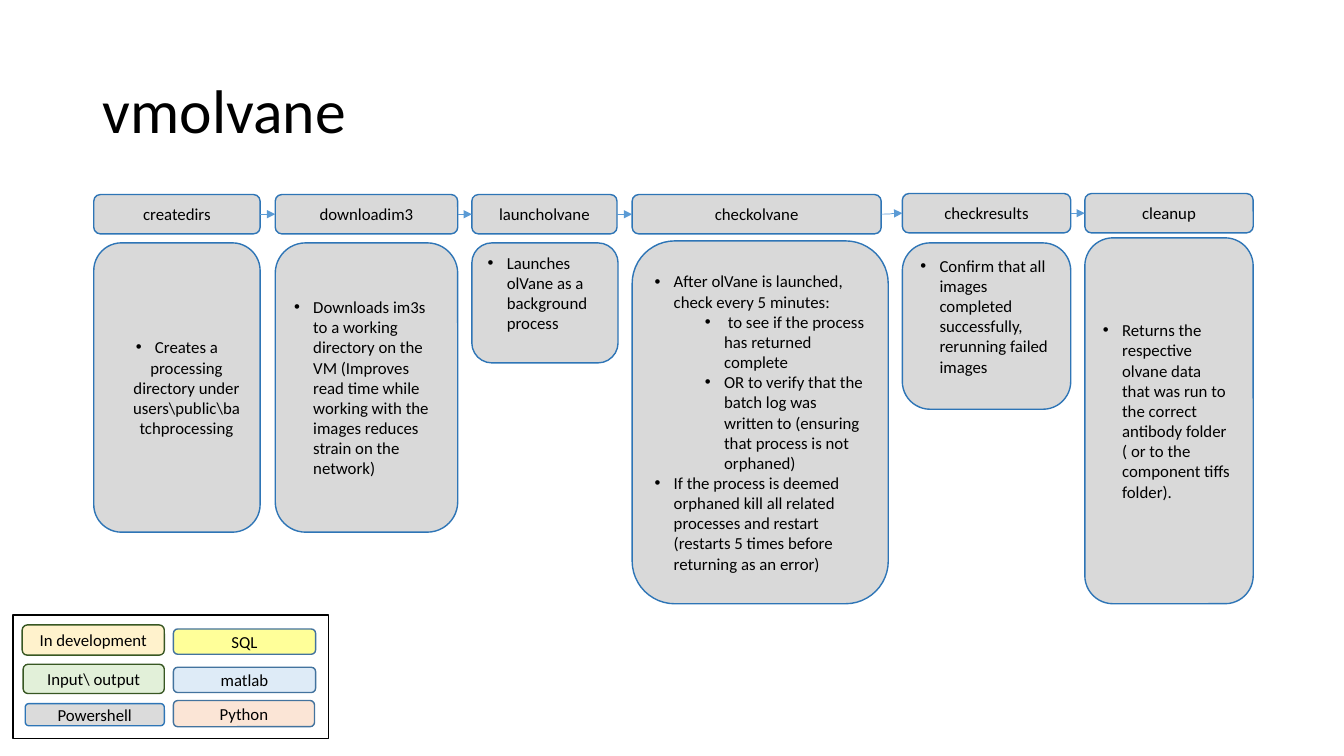
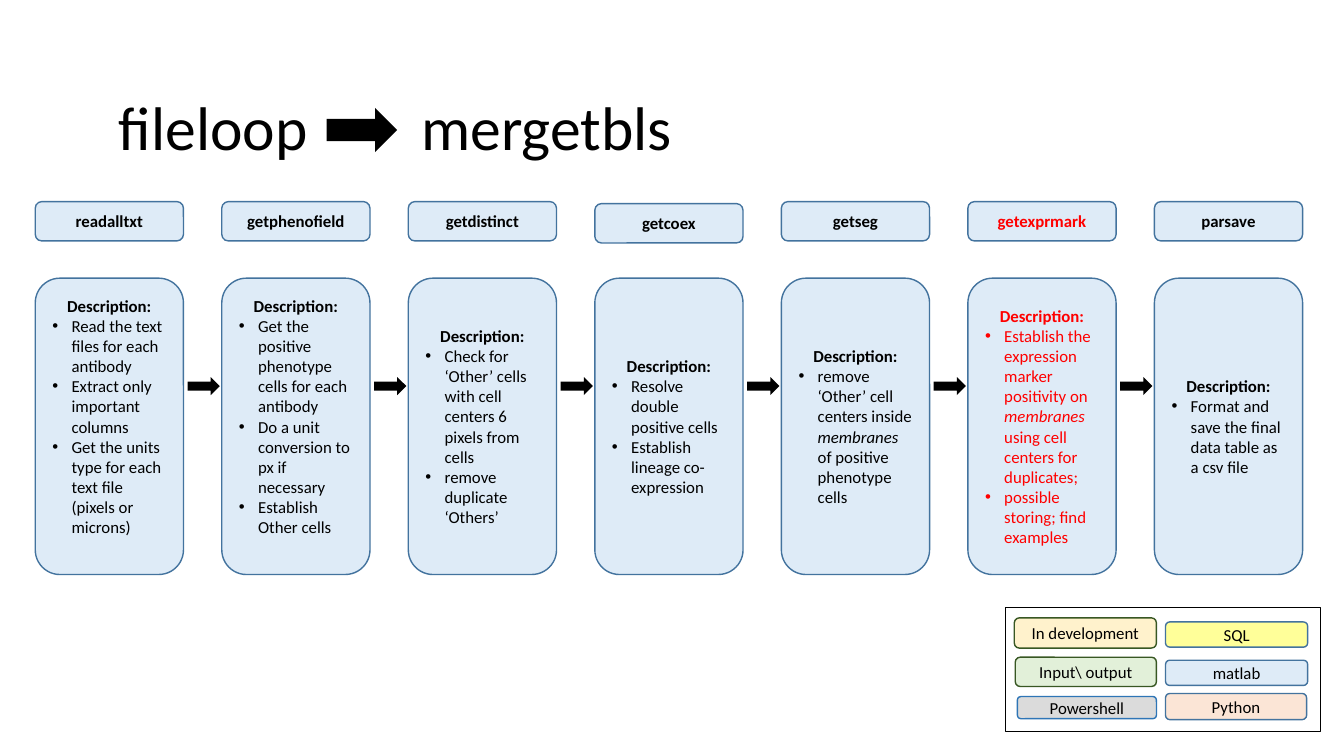
"""Builds two slides that describe processing steps."""
import dataclasses

import lxml.etree
import pptx
import pptx.dml.color
import pptx.enum.shapes
import pptx.enum.text
import pptx.oxml.ns
import pptx.util

Inches = pptx.util.Inches
Shapes = pptx.enum.shapes.MSO_SHAPE
Align = pptx.enum.text.PP_ALIGN
qn = pptx.oxml.ns.qn

FONT = "Calibri"
BLACK, WHITE, RED = "000000", "FFFFFF", "FF0000"
GREY, GREY_LINE = "D9D9D9", "2E75B6"
BLUE, BLUE_LINE = "DEEBF7", "43739E"
GREEN_LINE, CONNECTOR = "385723", "5B9BD5"
HANG = 0.19
BLANK_LINE = 0.2

LEGEND = [
    ("In development", 0.09, 0.1, 1.41, 0.3, "FFF2CC", GREEN_LINE),
    ("Input\\ output", 0.1, 0.49, 1.4, 0.29, "E2F0D9", GREEN_LINE),
    ("matlab", 1.59, 0.52, 1.41, 0.25, BLUE, BLUE_LINE),
    ("Powershell", 0.12, 0.88, 1.38, 0.22, "DBDBDB", GREY_LINE),
    ("Python", 1.59, 0.85, 1.4, 0.26, "FBE5D6", BLUE_LINE),
    ("SQL", 1.59, 0.14, 1.41, 0.25, "FFFF99", BLUE_LINE),
]


@dataclasses.dataclass
class Text:
    """One paragraph; parts between asterisks are italic."""
    words: str
    align: Align = Align.LEFT
    bold: bool = False
    bullet: bool = False
    level: int = 0


@dataclasses.dataclass
class Step:
    """One vmolvane column: header, body box and body paragraphs."""
    name: str
    left: float
    width: float
    top: float
    body_top: float
    body_width: float
    body_height: float
    texts: list
    space_below: float = 0
    space_right: float = 0


def bullet(words, level=0, align=Align.LEFT):
    """Return a bulleted paragraph."""
    return Text(words, align, bullet=True, level=level)


def label(words, bold=False):
    """Return a centred paragraph."""
    return Text(words, Align.CENTER, bold)


VMOLVANE = [
    Step("createdirs", 0.93, 1.65, 1.93, 2.41, 1.65, 2.87, [
        bullet("Creates a processing directory under users\\public\\batchprocessing",
               align=Align.CENTER)]),
    Step("downloadim3", 2.73, 1.81, 1.93, 2.41, 1.81, 2.87, [
        bullet("Downloads im3s to a working directory on the VM (Improves read time "
               "while working with the images reduces strain on the network)")]),
    Step("launcholvane", 4.68, 1.44, 1.93, 2.41, 1.45, 1.19, [
        bullet("Launches olVane as a background process")], BLANK_LINE),
    Step("checkolvane", 6.27, 2.47, 1.93, 2.39, 2.54, 3.6, [
        bullet("After olVane is launched, check every 5 minutes:"),
        bullet(" to see if the process has returned complete", 1),
        bullet("OR to verify that the batch log was written to "
               "(ensuring that process is not orphaned)", 1),
        bullet("If the process is deemed orphaned kill all related processes and "
               "restart (restarts 5 times before returning as an error)")]),
    Step("checkresults", 8.95, 1.67, 1.92, 2.41, 1.67, 1.65, [
        bullet("Confirm that all images completed successfully, "
               "rerunning failed images")], BLANK_LINE),
    Step("cleanup", 10.76, 1.67, 1.92, 2.36, 1.67, 3.63, [
        bullet("Returns the respective olvane data that was run to the correct "
               "antibody folder ( or to the component tiffs folder).")],
         BLANK_LINE, 0.03),
]

MERGETBLS = [
    ("readalltxt", 2, BLACK, BLANK_LINE, [
        "Read the text files for each antibody",
        "Extract only important columns",
        "Get the units type for each text file (pixels or microns)"]),
    ("getphenofield", 2, BLACK, BLANK_LINE, [
        "Get the positive phenotype cells for each antibody",
        "Do a unit conversion to px if necessary",
        "Establish Other cells"]),
    ("getdistinct", 2, BLACK, 0, [
        "Check for ‘Other’ cells with cell centers 6 pixels from cells",
        "remove duplicate ‘Others’"]),
    ("getcoex", 2.02, BLACK, 0, [
        "Resolve double positive cells",
        "Establish lineage co-expression"]),
    ("getseg", 2, BLACK, 0, [
        "remove ‘Other’ cell centers inside *membranes *of positive phenotype cells"]),
    ("getexprmark", 2, RED, 0, [
        "Establish the expression marker positivity on *membranes *using cell "
        "centers for duplicates;",
        "possible storing; find examples"]),
    ("parsave", 2, BLACK, 0, [
        "Format and save the final data table as a csv file"]),
]


def rgb(color):
    """Turn a hex string into a colour."""
    return pptx.dml.color.RGBColor.from_string(color)


def set_font(paragraph, size, color, bold=False):
    """Set the font of a whole paragraph."""
    font = paragraph.font
    font.name = FONT
    font.size = pptx.util.Pt(size)
    font.bold = bold
    font.color.rgb = rgb(color)


def add_bullet(paragraph, level):
    """Give a paragraph a round bullet with a hanging indent."""
    paragraph.level = level
    properties = paragraph._p.get_or_add_pPr()
    properties.set("marL", str(Inches(HANG + 0.5 * level)))
    properties.set("indent", str(-Inches(HANG)))
    lxml.etree.SubElement(properties, qn("a:buFont"), typeface="Arial")
    lxml.etree.SubElement(properties, qn("a:buChar"), char="•")


def write_texts(frame, texts, color):
    """Write paragraphs into a text frame."""
    frame.word_wrap = True
    frame.vertical_anchor = pptx.enum.text.MSO_ANCHOR.MIDDLE
    for index, text in enumerate(texts):
        paragraph = frame.add_paragraph() if index else frame.paragraphs[0]
        paragraph.alignment = text.align
        if text.bullet:
            add_bullet(paragraph, text.level)
        set_font(paragraph, 12, color, text.bold)
        for part, words in enumerate(text.words.split("*")):
            run = paragraph.add_run()
            run.text = words
            if part % 2:
                run.font.italic = True


def add_box(shapes, box, fill, line=None, texts=(), color=BLACK,
            kind=Shapes.ROUNDED_RECTANGLE, space_below=0, space_right=0):
    """Add a filled shape, with an outline and text where given."""
    shape = shapes.add_shape(kind, *map(Inches, box))
    shape.shadow.inherit = False
    shape.fill.solid()
    shape.fill.fore_color.rgb = rgb(fill)
    if line:
        shape.line.color.rgb = rgb(line)
        shape.line.width = pptx.util.Pt(1)
    else:
        shape.line.fill.background()
    if texts:
        write_texts(shape.text_frame, texts, color)
        shape.text_frame.margin_bottom = Inches(0.05 + space_below)
        shape.text_frame.margin_right = Inches(0.1 + space_right)
    return shape


def add_arrow(slide, box):
    """Add a black block arrow."""
    add_box(slide.shapes, box, BLACK, kind=Shapes.RIGHT_ARROW)


def connect(slide, start, end):
    """Join two boxes with a thin curved arrow."""
    connector = slide.shapes.add_connector(
        pptx.enum.shapes.MSO_CONNECTOR.CURVE, 0, 0, 0, 0)
    connector.begin_connect(start, 3)
    connector.end_connect(end, 1)
    connector.line.color.rgb = rgb(CONNECTOR)
    connector.line.width = pptx.util.Pt(0.5)
    line = connector.line._get_or_add_ln()
    lxml.etree.SubElement(line, qn("a:tailEnd"), type="triangle")
    lxml.etree.SubElement(connector._element.spPr, qn("a:effectLst"))


def add_legend(slide, left, top):
    """Add the grouped colour legend."""
    shapes = slide.shapes.add_group_shape().shapes
    add_box(shapes, (left, top, 3.13, 1.23), WHITE, BLACK, kind=Shapes.RECTANGLE)
    for name, x, y, width, height, fill, line in LEGEND:
        add_box(shapes, (left + x, top + y, width, height), fill, line, [label(name)])


def add_titled_slide(presentation, title, left, top, tab=None):
    """Add a title-only slide with a formatted title."""
    slide = presentation.slides.add_slide(presentation.slide_layouts[5])
    shape = slide.shapes.title
    shape.left, shape.top = Inches(left), Inches(top)
    shape.width, shape.height = Inches(11.5), Inches(1.45)
    frame = shape.text_frame
    frame.text = title
    frame.word_wrap = True
    frame.auto_size = pptx.enum.text.MSO_AUTO_SIZE.NONE
    frame.vertical_anchor = pptx.enum.text.MSO_ANCHOR.MIDDLE
    paragraph = frame.paragraphs[0]
    paragraph.alignment = Align.LEFT
    paragraph.line_spacing = 0.9
    if tab:
        stops = lxml.etree.SubElement(paragraph._p.get_or_add_pPr(), qn("a:tabLst"))
        lxml.etree.SubElement(stops, qn("a:tab"), pos=str(Inches(tab)), algn="l")
    set_font(paragraph, 44, BLACK)
    return slide


def build_vmolvane(presentation):
    """Build the vmolvane slide."""
    slide = add_titled_slide(presentation, "vmolvane", 0.92, 0.4)
    headers = []
    for step in VMOLVANE:
        headers.append(add_box(slide.shapes, (step.left, step.top, step.width, 0.39),
                               GREY, GREY_LINE, [label(step.name)]))
        add_box(slide.shapes,
                (step.left, step.body_top, step.body_width, step.body_height),
                GREY, GREY_LINE, step.texts, space_below=step.space_below,
                space_right=step.space_right)
    for start, end in zip(headers, headers[1:]):
        connect(slide, start, end)
    add_legend(slide, 0.13, 6.1)


def build_mergetbls(presentation):
    """Build the mergetbls slide."""
    slide = add_titled_slide(presentation, "fileloop\tmergetbls", 1.08, 0.57, tab=3)
    add_arrow(slide, (3.24, 1.07, 0.7, 0.44))
    for index, (name, top, color, space_below, items) in enumerate(MERGETBLS):
        left = 0.35 + 1.85 * index
        add_box(slide.shapes, (left, top, 1.47, 0.39), BLUE, BLUE_LINE,
                [label(name, True)], color)
        texts = [label("Description:", True)] + [bullet(item) for item in items]
        add_box(slide.shapes, (left, 2.76, 1.47, 2.94), BLUE, BLUE_LINE,
                texts, color, space_below=space_below)
        if index:
            add_arrow(slide, (left - 0.34, 3.74, 0.32, 0.18))
    add_legend(slide, 9.97, 6.03)


def main():
    """Build and save the presentation."""
    presentation = pptx.Presentation()
    presentation.slide_width = Inches(13.33)
    presentation.slide_height = Inches(7.5)
    build_vmolvane(presentation)
    build_mergetbls(presentation)
    presentation.save("out.pptx")


main()
